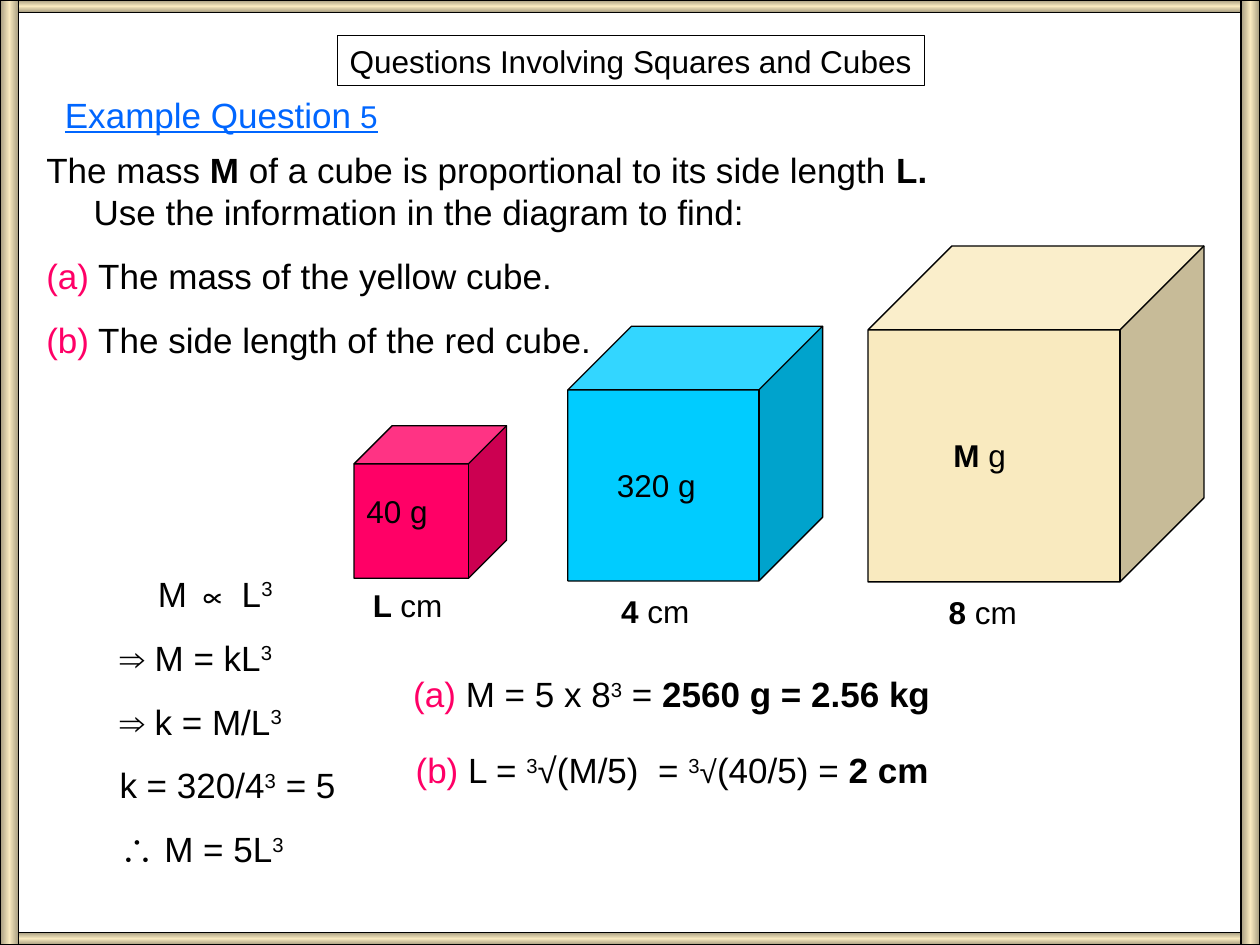
from pptx import Presentation
from pptx.dml.color import RGBColor
from pptx.enum.shapes import MSO_SHAPE
from pptx.oxml import parse_xml
from pptx.oxml.ns import nsdecls
from pptx.util import Pt

RECT, CUBE = MSO_SHAPE.RECTANGLE, MSO_SHAPE.CUBE
BLACK, WHITE, PINK, BLUE = "000000", "FFFFFF", "FF0066", "0066FF"
CYAN, CREAM, TAN = "00CCFF", "F9EABF", "A49A7E"
BOLD, RED, SUP = {"bold": True}, {"color": PINK}, {"raised": True}
LINK = {"color": BLUE, "underline": True}
CUBED = ("3", SUP)


def paint(target, color):
    """Give a fill or line a solid colour."""
    target.solid()
    target.fore_color.rgb = RGBColor.from_string(color)


def add_run(para, text, style, size):
    """Add one run with its format values."""
    run = para.add_run()
    run.text = text
    look = {"name": "Arial", "size": Pt(size), "color": BLACK, **style}
    paint(run.font.fill, look.pop("color"))
    if look.pop("raised", False):
        run._r.get_or_add_rPr().set("baseline", "30000")
    for key, value in look.items():
        setattr(run.font, key, value)


def add_text(slide, box, rows, size=20, gap=12.5, wrap=True, hang=0):
    """Add a text box; each row is a list of strings, (text, style) pairs or line breaks."""
    shape = slide.shapes.add_textbox(*map(Pt, box))
    frame = shape.text_frame
    frame.word_wrap = wrap
    for num, row in enumerate(rows):
        para = frame.add_paragraph() if num else frame.paragraphs[0]
        if num:
            para.space_before = Pt(gap)
        if hang:
            props = para._p.get_or_add_pPr()
            props.set("marL", str(Pt(hang)))
            props.set("indent", str(Pt(-hang)))
        for part in row:
            if part == "\n":
                para.add_line_break()
                continue
            text, style = (part, {}) if isinstance(part, str) else part
            add_run(para, text, style, size)
    return shape


def add_block(slide, kind, box):
    """Add a preset shape with a thin black outline."""
    shape = slide.shapes.add_shape(kind, *map(Pt, box))
    shape.shadow.inherit = False
    paint(shape.line.fill, BLACK)
    shape.line.width = Pt(0.75)
    return shape


def add_cube(slide, left, top, side, color):
    """Add a cube of one colour."""
    shape = add_block(slide, CUBE, (left, top, side, side))
    shape.adjustments[0] = 0.25
    paint(shape.fill, color)


def add_bar(slide, box, angle):
    """Add a frame bar shaded from edge to edge."""
    shape = add_block(slide, RECT, box)
    shape.fill.gradient()
    stops = "".join(
        f'<a:gs pos="{pos * 1000}"><a:srgbClr val="{color}"/></a:gs>'
        for pos, color in ((0, TAN), (50, CREAM), (100, TAN)))
    grad = parse_xml(
        f'<a:gradFill {nsdecls("a")} rotWithShape="1"><a:gsLst>{stops}</a:gsLst>'
        f'<a:lin ang="{angle * 60000}" scaled="1"/></a:gradFill>')
    props = shape._element.spPr
    props.replace(props.gradFill, grad)


def add_cubes(slide):
    """Draw the three cubes with their masses and side lengths."""
    for cube in ((202.3, 243.3, 87.2, PINK), (324.5, 186.4, 145.6, CYAN),
                 (496, 140.5, 192, CREAM)):
        add_cube(slide, *cube)
    for left, top, row in ((202.3, 277.5, ["40 g"]), (345.4, 263, ["320 g"]),
                           (537.8, 245.5, [("M", BOLD), " g"])):
        add_text(slide, (left, top, 75, 29), [row], 18)
    for left, top, name in ((206, 331.5, "L "), (347.8, 334.5, "4 "),
                            (535, 335.5, "8 ")):
        label = add_text(slide, (left, top, 60, 29), [[(name, BOLD), "cm"]], 18)
        paint(label.fill, WHITE)


def add_work(slide):
    """Write the working and the two answers."""
    work = add_text(slide, (61.2, 323.5, 150.5, 177), [
        ["M ∝ L", CUBED],
        ["⇒ M = kL", CUBED],
        ["⇒ k = M/L", CUBED],
        ["k = 320/4", CUBED, " = 5"],
        ["∴ M = 5L", CUBED]])
    work.text_frame.paragraphs[0]._p.get_or_add_pPr().set("indent", str(Pt(22)))
    add_text(slide, (229, 381, 366.5, 31.5), [
        [("(a) ", RED), "M = 5 x 8", CUBED, " = ", ("2560 g = 2.56 kg", BOLD)]])
    add_text(slide, (230.4, 424.2, 411, 31.5), [
        [("(b) ", RED), "L = ", CUBED, "√(M/5)  = ", CUBED,
         ("√", {"size": Pt(18)}), "(40/5) = ", ("2 cm", BOLD)]])


def main():
    """Build the slide and save it."""
    deck = Presentation()
    deck.slide_width, deck.slide_height = Pt(720), Pt(540)
    slide = deck.slides.add_slide(deck.slide_layouts[6])
    paint(slide.background.fill, WHITE)

    title = add_text(slide, (192.7, 20.3, 335.5, 28.8),
                     [["Questions Involving Squares and Cubes"]], 18, wrap=False)
    paint(title.line.fill, BLACK)
    title.line.width = Pt(0.75)
    add_text(slide, (30, 49.7, 193, 31.5),
             [[("Example Question", LINK), (" 5", {**LINK, "size": Pt(18)})]],
             wrap=False)
    add_text(slide, (19.4, 81.4, 637, 128), [
        ["The mass ", ("M", BOLD), " of a cube is proportional to its side length ",
         ("L.", BOLD), "\n", "Use the information in the diagram to find:"],
        [("(a)", RED), " The mass of the yellow cube."],
        [("(b)", RED), " The side length of the red cube."]], hang=27)
    add_cubes(slide)
    add_work(slide)

    for top in (0, 532.8):
        add_bar(slide, (0, top, 720, 7.2), 90)
    for left in (0, 709.2):
        add_bar(slide, (left, 0, 10.8, 540), 180)
    deck.save("out.pptx")


if __name__ == "__main__":
    main()
